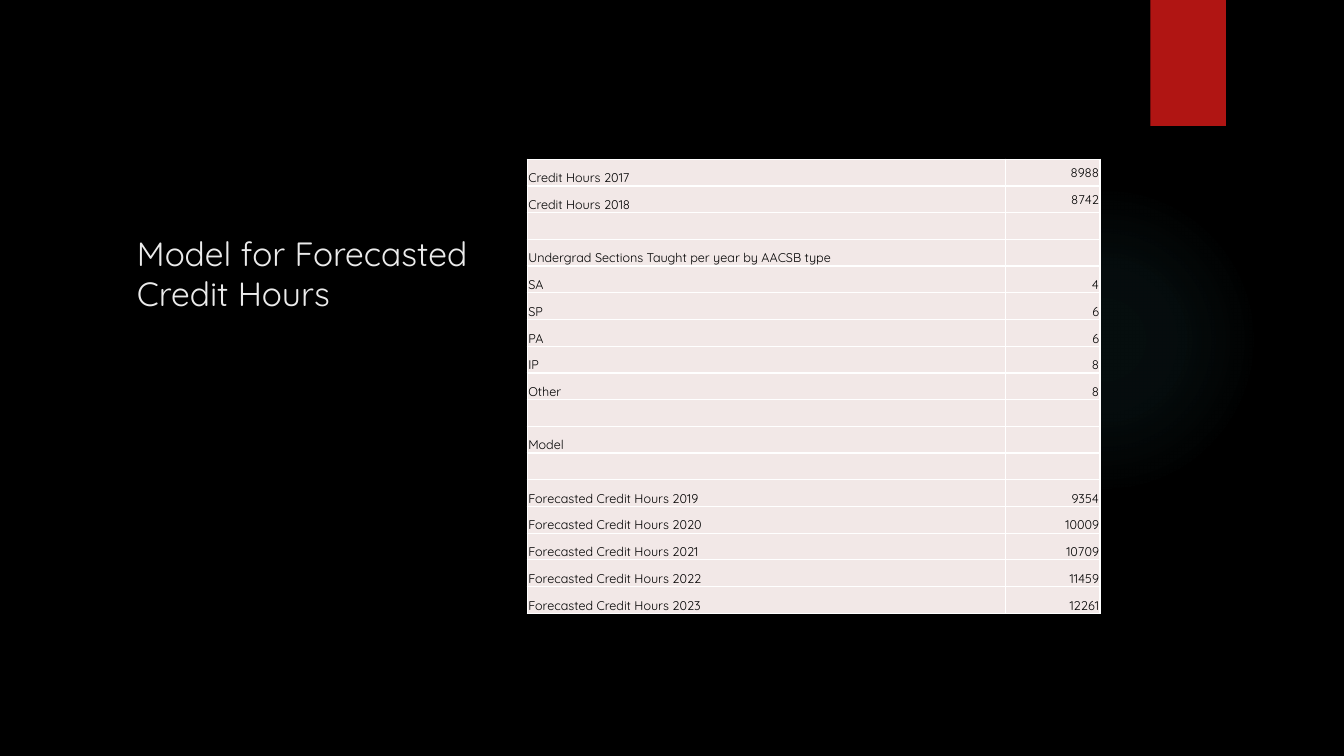
"""Build the slide with the model for forecasted credit hours."""
from dataclasses import dataclass

from lxml.etree import SubElement
from pptx import Presentation
from pptx.dml.color import RGBColor as RGB
from pptx.enum.shapes import MSO_SHAPE as Shape
from pptx.enum.text import MSO_ANCHOR as Anchor, PP_ALIGN as Align
from pptx.oxml.ns import qn
from pptx.util import Inches, Pt


@dataclass(frozen=True)
class Theme:
    font: str = "Quicksand"
    background: RGB = RGB(0, 0, 0)
    accent: RGB = RGB(0xB0, 0x15, 0x13)
    title: RGB = RGB(0xEB, 0xEB, 0xEB)
    ink: RGB = RGB(0, 0, 0)
    cell: RGB = RGB(0xF2, 0xE8, 0xE7)
    border: str = "FFFFFF"
    glow: str = "50B9C1"
    title_size: Pt = Pt(24)
    cell_size: Pt = Pt(9)


theme = Theme()


def style_text(paragraph, size, color):
    for run in paragraph.runs:
        run.font.name = theme.font
        run.font.size = size
        run.font.color.rgb = color


def add_border(properties, side):
    line = SubElement(properties, qn(f"a:{side}"), w=str(Pt(1)))
    fill = SubElement(line, qn("a:solidFill"))
    SubElement(fill, qn("a:srgbClr"), val=theme.border)


CREDIT_HOURS = [
    ("Credit Hours 2017", "8988"),
    ("Credit Hours 2018", "8742"),
    ("", ""),
    ("Undergrad Sections Taught per year by AACSB type", ""),
    ("SA", "4"),
    ("SP", "6"),
    ("PA", "6"),
    ("IP", "8"),
    ("Other", "8"),
    ("", ""),
    ("Model", ""),
    ("", ""),
    ("Forecasted Credit Hours 2019", "9354"),
    ("Forecasted Credit Hours 2020", "10009"),
    ("Forecasted Credit Hours 2021", "10709"),
    ("Forecasted Credit Hours 2022", "11459"),
    ("Forecasted Credit Hours 2023", "12261"),
]
ACTUAL_YEARS = 2

prs = Presentation()
prs.slide_width, prs.slide_height = Inches(13.33), Inches(7.5)
slide = prs.slides.add_slide(prs.slide_layouts[6])
slide.background.fill.solid()
slide.background.fill.fore_color.rgb = theme.background

glow = slide.shapes.add_shape(Shape.OVAL, Inches(9.41), Inches(1.83), Inches(3.08), Inches(3.08))
glow.shadow.inherit = False
glow.line.fill.background()
glow.fill.gradient()
gradient = glow.fill._xPr.find(qn("a:gradFill"))
for part in list(gradient):
    gradient.remove(part)
stops = SubElement(gradient, qn("a:gsLst"))
for position, opacity in [(0, 7), (36, 6), (69, 0)]:
    stop = SubElement(stops, qn("a:gs"), pos=str(position * 1000))
    color = SubElement(stop, qn("a:srgbClr"), val=theme.glow)
    SubElement(color, qn("a:alpha"), val=str(opacity * 1000))
circle = SubElement(gradient, qn("a:path"), path="circle")
SubElement(circle, qn("a:fillToRect"), l="50000", t="50000", r="50000", b="50000")

ribbon = slide.shapes.add_shape(Shape.RECTANGLE, Inches(11.41), 0, Inches(0.75), Inches(1.25))
ribbon.shadow.inherit = False
ribbon.fill.solid()
ribbon.fill.fore_color.rgb = theme.accent
ribbon.line.fill.background()

title = slide.shapes.add_textbox(Inches(1.26), Inches(1.58), Inches(3.72), Inches(1.58)).text_frame
title.word_wrap = True
title.vertical_anchor = Anchor.BOTTOM
title.text = "Model for Forecasted Credit Hours"
style_text(title.paragraphs[0], theme.title_size, theme.title)

forecast = slide.shapes.add_table(
    len(CREDIT_HOURS), 2, Inches(5.23), Inches(1.58), Inches(5.68), Inches(4.51)
).table
forecast.first_row = forecast.horz_banding = False
for column, width in zip(forecast.columns, (4.74, 0.94)):
    column.width = Inches(width)

for row, entry in enumerate(CREDIT_HOURS):
    for col, content in enumerate(entry):
        cell = forecast.cell(row, col)
        cell.text = content
        cell.margin_left = cell.margin_right = cell.margin_top = Inches(0.01)
        cell.margin_bottom = 0
        is_actual = col == 1 and row < ACTUAL_YEARS
        cell.vertical_anchor = Anchor.MIDDLE if is_actual else Anchor.BOTTOM
        paragraph = cell.text_frame.paragraphs[0]
        paragraph.alignment = Align.RIGHT if col else Align.LEFT
        style_text(paragraph, theme.cell_size, theme.ink)
        if not content:
            SubElement(paragraph._p, qn("a:endParaRPr"), sz=str(int(theme.cell_size.pt * 100)))
        for side in ("lnL", "lnR", "lnT", "lnB"):
            add_border(cell._tc.get_or_add_tcPr(), side)
        cell.fill.solid()
        cell.fill.fore_color.rgb = theme.cell

prs.save("out.pptx")
